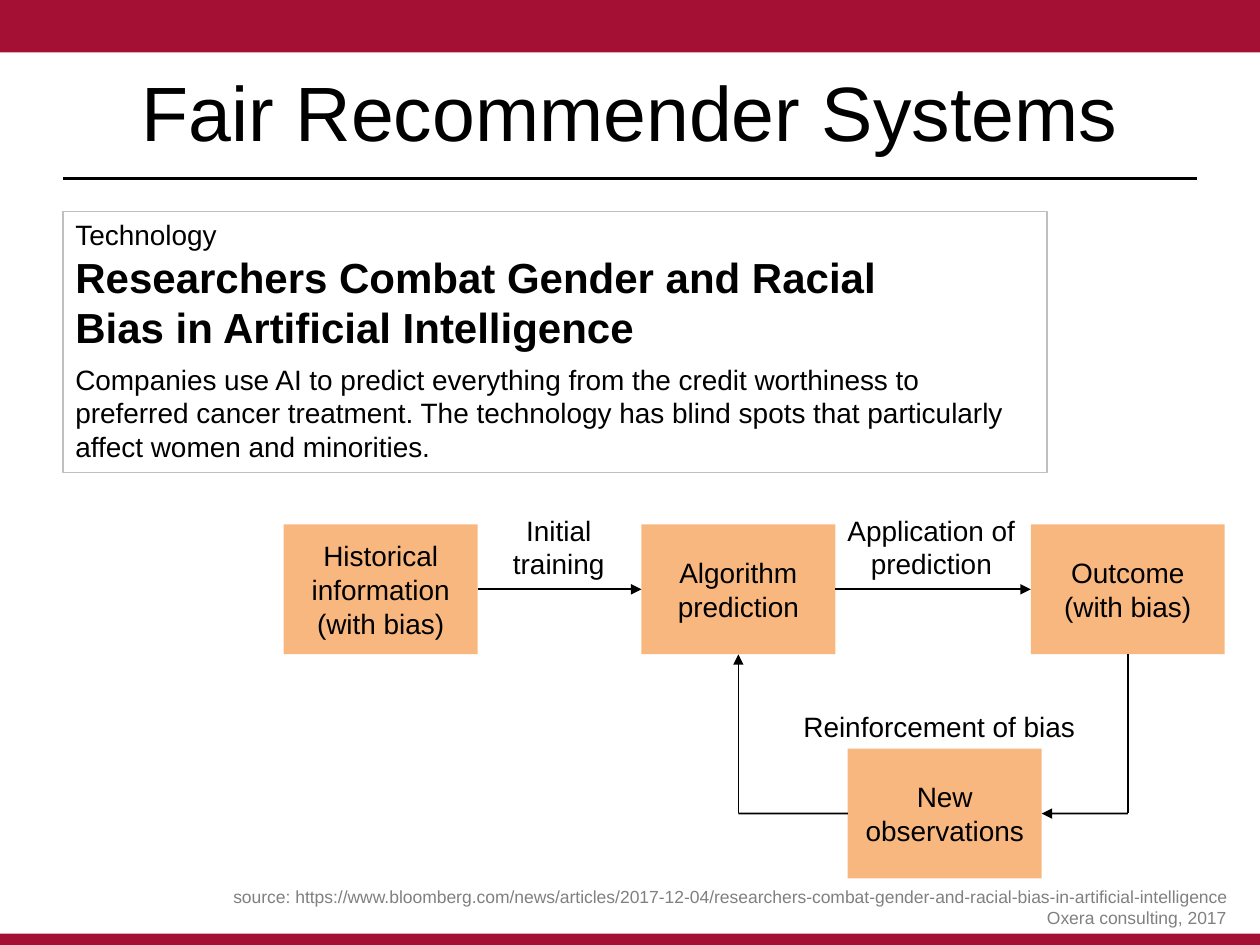
from lxml import etree
from pptx import Presentation
from pptx import util as u
from pptx.dml.color import RGBColor
from pptx.enum import shapes, text
from pptx.oxml import ns

RED = RGBColor(0xA4, 0x10, 0x34)
PEACH = RGBColor(0xF9, 0xB7, 0x80)
BLACK = RGBColor(0, 0, 0)
GREY = RGBColor(0x80, 0x80, 0x80)
PALE = RGBColor(0xBF, 0xBF, 0xBF)
MID, TOP, LOW = text.MSO_ANCHOR.MIDDLE, text.MSO_ANCHOR.TOP, text.MSO_ANCHOR.BOTTOM
LEFT, MAIN, RIGHT = text.PP_ALIGN.LEFT, text.PP_ALIGN.CENTER, text.PP_ALIGN.RIGHT
WIDE, HIGH = 3.91, 2.62
ROW, LOOP = 10.57, 15.09


def write(shape, lines, align=MAIN, anchor=MID, color=BLACK):
    """Fill a shape with (words, size, bold) paragraphs."""
    frame = shape.text_frame
    frame.word_wrap = True
    frame.vertical_anchor = anchor
    for i, (words, size, bold) in enumerate(lines):
        para = frame.add_paragraph() if i else frame.paragraphs[0]
        para.text = words
        para.alignment = align
        for run in para.runs:
            font = run.font
            font.name, font.size, font.bold = "Arial", u.Pt(size), bold
            font.color.rgb = color
    return frame


def rect(slide, x, y, w, h, fill=None, edge=None):
    """Add a flat rectangle."""
    shape = slide.shapes.add_shape(
        shapes.MSO_SHAPE.RECTANGLE, u.Cm(x), u.Cm(y), u.Cm(w), u.Cm(h))
    shape.shadow.inherit = False
    if fill is None:
        shape.fill.background()
    else:
        shape.fill.solid()
        shape.fill.fore_color.rgb = fill
    if edge is None:
        shape.line.fill.background()
    else:
        shape.line.color.rgb = edge
        shape.line.width = u.Pt(0.75)
    return shape


def node(slide, x, y, words):
    """Add a box of the flow."""
    box = rect(slide, x, y, WIDE, HIGH, PEACH)
    frame = write(box, [(words, 16, False)])
    frame.margin_left = frame.margin_right = u.Cm(0.33)
    return box


def label(slide, x, y, w, h, lines, **style):
    """Add a free text box."""
    box = slide.shapes.add_textbox(u.Cm(x), u.Cm(y), u.Cm(w), u.Cm(h))
    write(box, lines, **style)


def line(slide, start, end, width=1, arrow=False):
    """Join two ends, each an (x, y) point or a (box, side) pair."""
    link = slide.shapes.add_connector(shapes.MSO_CONNECTOR.STRAIGHT, 0, 0, 0, 0)
    link.begin_x, link.begin_y, link.end_x, link.end_y = [
        u.Cm(n) if isinstance(n, (int, float)) else 0
        for n in (*start, *end)]
    if not isinstance(start[0], (int, float)):
        link.begin_connect(*start)
    if not isinstance(end[0], (int, float)):
        link.end_connect(*end)
    link.line.color.rgb = BLACK
    link.line.width = u.Pt(width)
    if arrow:
        etree.SubElement(link.line._get_or_add_ln(), ns.qn("a:tailEnd"), type="triangle")
    etree.SubElement(link._element.spPr, ns.qn("a:effectLst"))


def frame(slide):
    """Add the bars, the title and its rule."""
    rect(slide, 0, 0, 25.4, 1.06, RED)
    rect(slide, 0, 18.82, 25.4, 0.23, RED)
    line(slide, (1.27, 3.6), (24.13, 3.6), 1.25)
    title = slide.shapes.title
    title.left, title.top = u.Cm(1.27), u.Cm(0.64)
    title.width, title.height = u.Cm(22.86), u.Cm(3.18)
    write(title, [("Fair Recommender Systems", 44, False)])


def news(slide):
    """Add the article box and the sources."""
    box = rect(slide, 1.27, 4.26, 19.84, 5.26, edge=PALE)
    body = write(box, [
        ("Technology", 16, False),
        ("Researchers Combat Gender and Racial \vBias in Artificial Intelligence", 24, True),
        ("Companies use AI to predict everything from the credit worthiness to \v"
         "preferred cancer treatment. The technology has blind spots that particularly\v"
         "affect women and minorities.", 16, False),
    ], LEFT, TOP)
    body.paragraphs[2].space_before = u.Pt(6)
    label(slide, 2.11, 18.08, 22.86, 0.76, [
        ("source: https://www.bloomberg.com/news/articles/2017-12-04/"
         "researchers-combat-gender-and-racial-bias-in-artificial-intelligence", 10, False),
        ("Oxera consulting, 2017", 10, False),
    ], align=RIGHT, anchor=LOW, color=GREY)


def flow(slide):
    """Add the feedback loop."""
    past = node(slide, 5.72, ROW, "Historical information (with bias)")
    algo = node(slide, 12.93, ROW, "Algorithm prediction")
    out = node(slide, 20.78, ROW, "Outcome (with bias)")
    new = node(slide, 17.09, LOOP, "New observations")
    y = LOOP + HIGH / 2
    west, east = (12.93 + WIDE / 2, y), (20.78 + WIDE / 2, y)
    line(slide, (past, 3), (algo, 1), arrow=True)
    line(slide, (algo, 3), (out, 1), arrow=True)
    line(slide, (out, 2), east)
    line(slide, east, (new, 3), arrow=True)
    line(slide, (new, 1), west)
    line(slide, west, (algo, 2), arrow=True)
    for x, top, w, h, words in (
            (9.55, 10.21, 3.43, 1.63, "Initial training"),
            (16.69, 10.21, 4.17, 1.63, "Application of prediction"),
            (15.14, 14.17, 7.59, 0.94, "Reinforcement of bias")):
        label(slide, x, top, w, h, [(words, 16, False)])


def main():
    """Build and save the slide."""
    deck = Presentation()
    deck.slide_width, deck.slide_height = u.Cm(25.4), u.Cm(19.05)
    slide = deck.slides.add_slide(deck.slide_layouts[5])
    frame(slide)
    news(slide)
    flow(slide)
    deck.save("out.pptx")


if __name__ == "__main__":
    main()
